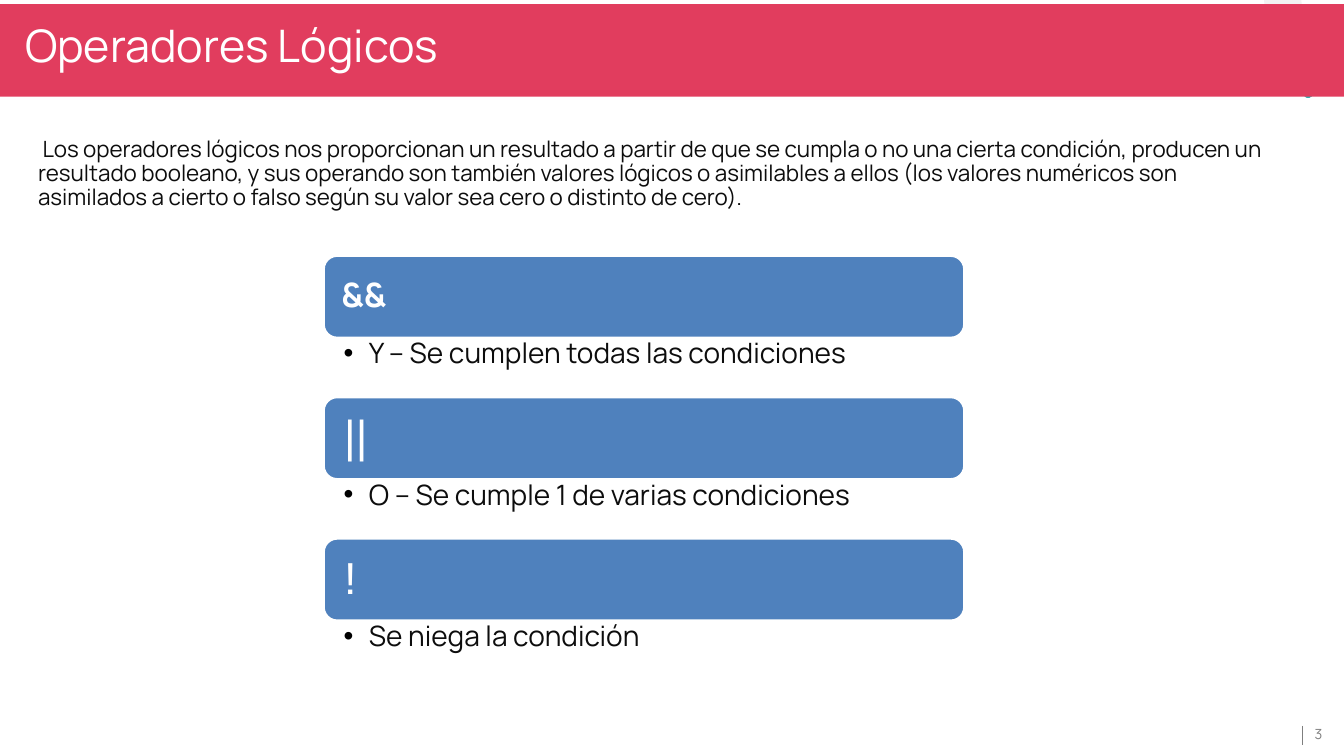
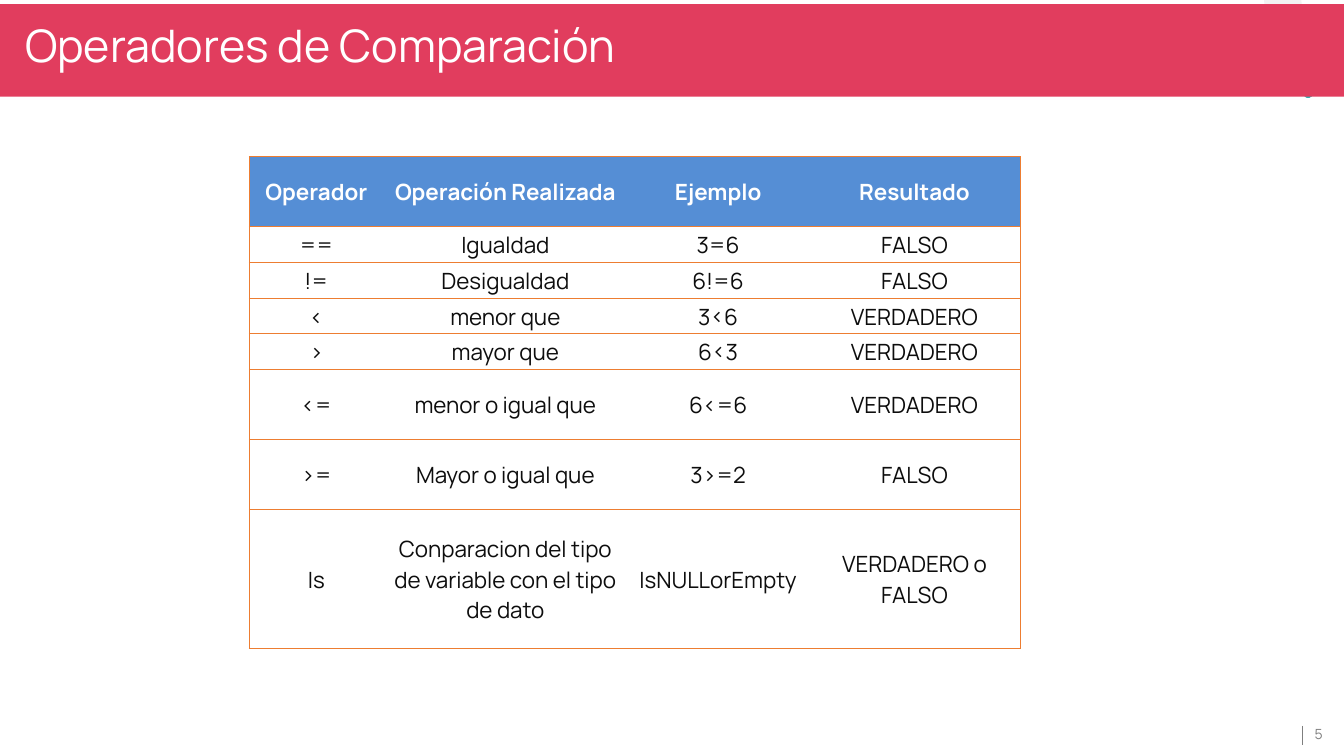
"""Build two slides on logical and comparison operators."""
from lxml import etree
from pptx import Presentation
from pptx.dml.color import RGBColor
from pptx.enum.shapes import MSO_CONNECTOR, MSO_SHAPE
from pptx.enum.text import MSO_ANCHOR, MSO_AUTO_SIZE, PP_ALIGN
from pptx.oxml.ns import qn
from pptx.util import Pt

ARC, BAR = MSO_SHAPE.BLOCK_ARC, MSO_SHAPE.ROUND_2_SAME_RECTANGLE
RECT, ROUNDED = MSO_SHAPE.RECTANGLE, MSO_SHAPE.ROUNDED_RECTANGLE
STRAIGHT = MSO_CONNECTOR.STRAIGHT
TOP, MIDDLE = MSO_ANCHOR.TOP, MSO_ANCHOR.MIDDLE
LEFT, CENTER = PP_ALIGN.LEFT, PP_ALIGN.CENTER
FIXED = MSO_AUTO_SIZE.NONE

WHITE, INK, GREY, PALE = "FFFFFF", "0D0D0D", "7F7F7F", "F2F2F2"
RED, TEAL, BLUE, HEADER_BLUE, ORANGE = "E13D5E", "32AAAF", "4F81BD", "558ED5", "ED7D31"
FONT = "Manrope"
rgb = RGBColor.from_string


def add_block(slide, kind, box, fill, turn=0, adjustments=()):
    """Add a filled preset shape without outline or shadow."""
    block = slide.shapes.add_shape(kind, *map(Pt, box))
    block.shadow.inherit = False
    block.fill.solid()
    block.fill.fore_color.rgb = rgb(fill)
    block.line.fill.background()
    block.rotation = turn
    for index, value in enumerate(adjustments):
        block.adjustments[index] = value
    return block


def write(frame, text, size, color, insets, anchor=TOP, align=LEFT, bold=False, font=FONT, spacing=1.0):
    """Fill a text frame or table cell with one formatted paragraph."""
    owner = frame if hasattr(frame, "text_frame") else None
    body = owner.text_frame if owner else frame
    body.text = text
    body.word_wrap = True
    holder = owner or body
    holder.margin_left, holder.margin_top, holder.margin_right, holder.margin_bottom = map(Pt, insets)
    holder.vertical_anchor = anchor
    paragraph = body.paragraphs[0]
    paragraph.alignment = align
    paragraph.line_spacing = spacing
    paragraph.space_before = Pt(0)
    run_font = paragraph.runs[0].font
    run_font.name, run_font.size, run_font.bold = font, Pt(size), bold
    run_font.color.rgb = rgb(color)
    return paragraph


deck = Presentation()
deck.slide_width, deck.slide_height = Pt(960), Pt(540)

slides = []
for layout, heading, number in ((1, "Operadores Lógicos", "3"), (5, "Operadores de Comparación", "5")):
    slide = deck.slides.add_slide(deck.slide_layouts[layout])
    slides.append(slide)
    add_block(slide, ARC, (903, -57, 114.5, 114.5), PALE, 270, (108, 162.187, 0.232))
    add_block(slide, BAR, (944, 32.4, 6.5, 43), TEAL, 225, (0.5, 0))
    add_block(slide, RECT, (-2, 3, 964, 66), RED)

    title = slide.shapes.title
    title.left, title.top, title.width, title.height = map(Pt, (8.5, 3, 901, 46))
    title.text_frame.auto_size = FIXED
    write(title.text_frame, heading, 32, WHITE, (9.4,) * 4)
    slide.shapes._spTree.append(title._element)

    divider = slide.shapes.add_connector(STRAIGHT, Pt(930.5), Pt(518.5), Pt(930.5), Pt(532))
    divider.line.color.rgb = rgb(GREY)
    divider.line.width = Pt(1)
    etree.SubElement(divider._element.spPr, qn("a:effectLst"))
    page = slide.shapes.add_textbox(Pt(936), Pt(514), Pt(26), Pt(20))
    write(page.text_frame, number, 10, GREY, (3,) * 4, MIDDLE)

logic, comparison = slides

intro = logic.placeholders[1]
intro.left, intro.top, intro.width, intro.height = map(Pt, (20, 95, 909, 66))
intro.text_frame.auto_size = FIXED
intro_text = write(
    intro.text_frame,
    " Los operadores lógicos nos proporcionan un resultado a partir de que se cumpla o no una cierta "
    "condición, producen un resultado booleano, y sus operando son también valores lógicos o asimilables "
    "a ellos (los valores numéricos son asimilados a cierto o falso según su valor sea cero o distinto de cero).",
    16, INK, (7.2, 3.6, 7.2, 3.6), spacing=0.9)
intro_format = intro_text._p.get_or_add_pPr()
intro_format.set("marL", "0")
intro_format.set("indent", "0")
etree.SubElement(intro_format, qn("a:buNone"))

operators = (
    ("&&", "Y – Se cumplen todas las condiciones", 24, FONT, True, 10),
    ("||", "O – Se cumple 1 de varias condiciones", 32, "Arial", False, 12),
    ("!", "Se niega la condición", 32, "Arial", False, 12),
)
for row, (symbol, meaning, size, font, bold, inset) in enumerate(operators):
    top = 182.5 + 101 * row
    card = add_block(logic, ROUNDED, (231, top, 458, 59), BLUE)
    card.line.color.rgb = rgb(WHITE)
    card.line.width = Pt(2)
    write(card.text_frame, symbol, size, WHITE, (inset, 7, inset, 7), MIDDLE, bold=bold, font=font, spacing=0.9)
    caption = logic.shapes.add_textbox(Pt(231), Pt(top + 58), Pt(458), Pt(42))
    point = write(caption.text_frame, meaning, 20, INK, (14.5, 2, 11.5, 2), spacing=0.9)
    point_format = point._p.get_or_add_pPr()
    point_format.set("marL", str(Pt(18)))
    point_format.set("indent", str(-Pt(18)))
    bullet_color = etree.SubElement(point_format, qn("a:buClr"))
    etree.SubElement(bullet_color, qn("a:srgbClr"), val="000000")
    etree.SubElement(point_format, qn("a:buFont"), typeface="Arial")
    etree.SubElement(point_format, qn("a:buChar"), char="•")

rows = (
    ("Operador", "Operación Realizada", "Ejemplo", "Resultado"),
    ("==", "Igualdad", "3=6", "FALSO"),
    ("!=", "Desigualdad", "6!=6", "FALSO"),
    ("<", "menor que", "3<6", "VERDADERO"),
    (">", "mayor que", "6<3", "VERDADERO"),
    ("<=", "menor o igual que", "6<=6", "VERDADERO"),
    (">=", "Mayor o igual que", "3>=2", "FALSO"),
    ("Is", "Conparacion del tipo de variable con el tipo de dato", "IsNULLorEmpty", "VERDADERO o FALSO"),
)
widths = (96, 174, 130, 150.5)
heights = (50, 25.5, 25.5, 25.5, 25.5, 50, 50, 99.5)
table = comparison.shapes.add_table(
    len(rows), len(widths), Pt(178), Pt(112), Pt(sum(widths)), Pt(sum(heights))).table
table.first_row = table.horz_banding = False
for column, width in zip(table.columns, widths):
    column.width = Pt(width)
for line, height in zip(table.rows, heights):
    line.height = Pt(height)

for r, texts in enumerate(rows):
    for c, text in enumerate(texts):
        cell = table.cell(r, c)
        is_header = r == 0
        write(cell, text, 16, WHITE if is_header else INK, (0.7, 0.7, 0.7, 0), MIDDLE, CENTER, is_header)
        cell_format = cell._tc.get_or_add_tcPr()
        edges = {"a:lnL": c == 0, "a:lnR": c == len(widths) - 1, "a:lnT": True, "a:lnB": True}
        for edge, drawn in edges.items():
            border = etree.SubElement(cell_format, qn(edge), w=str(Pt(0.5)))
            paint = etree.SubElement(border, qn("a:solidFill" if drawn else "a:noFill"))
            if drawn:
                etree.SubElement(paint, qn("a:srgbClr"), val=ORANGE)
        if is_header:
            cell.fill.solid()
            cell.fill.fore_color.rgb = rgb(HEADER_BLUE)
        else:
            cell.fill.background()

deck.save("out.pptx")
